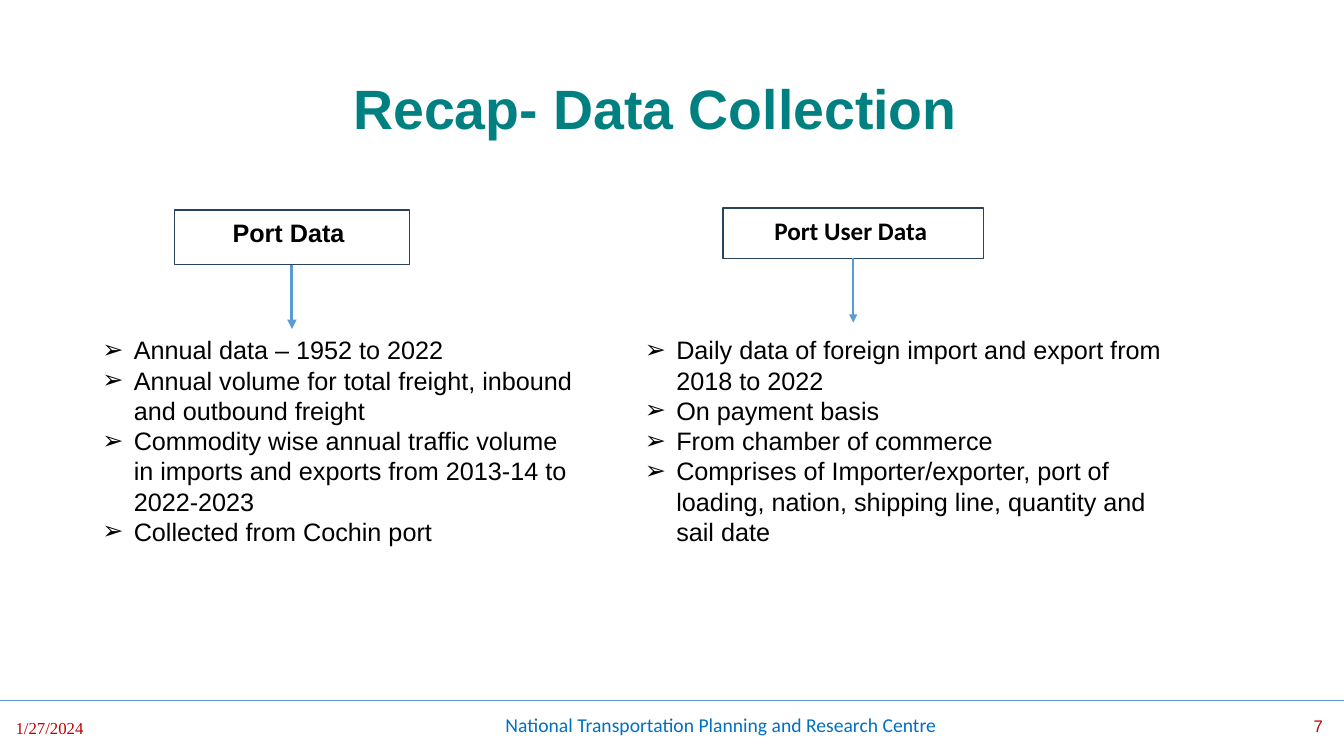
from lxml import etree
from pptx import Presentation
from pptx.dml.color import RGBColor
from pptx.enum.shapes import MSO_CONNECTOR, MSO_SHAPE
from pptx.enum.text import MSO_ANCHOR, PP_ALIGN
from pptx.oxml.ns import qn
from pptx.util import Pt

COLORS = {
    "title": "008080",
    "text": "000000",
    "footer": "0070C0",
    "date": "C00000",
    "box": "28445D",
    "line": "5B9BD5",
}
INDENT = 22.5

PORT_DATA = [
    "Annual data – 1952 to 2022",
    "Annual volume for total freight, inbound and outbound freight",
    "Commodity wise annual traffic volume in imports and exports from 2013-14 to 2022-2023",
    "Collected from Cochin port",
]
USER_DATA = [
    "Daily data of foreign import and export from 2018 to 2022",
    "On payment basis",
    "From chamber of commerce",
    "Comprises of Importer/exporter, port of loading, nation, shipping line, quantity and sail date",
]


def color(name):
    return RGBColor.from_string(COLORS[name])


def add_bullet(paragraph):
    properties = paragraph._p.get_or_add_pPr()
    properties.set("marL", str(Pt(INDENT)))
    properties.set("indent", str(-Pt(INDENT)))
    etree.SubElement(properties, qn("a:buFont"), typeface="Arial")
    etree.SubElement(properties, qn("a:buChar"), char="➢")


def add_text(slide, box, lines, size, color_name="text", font="Arial", bold=False,
             align=PP_ALIGN.LEFT, anchor=MSO_ANCHOR.TOP, spacing=1.0, bullets=False):
    frame = slide.shapes.add_textbox(*map(Pt, box)).text_frame
    frame.word_wrap = True
    frame.vertical_anchor = anchor
    frame.text = "\n".join(lines)
    for paragraph in frame.paragraphs:
        paragraph.alignment = align
        paragraph.line_spacing = spacing
        if bullets:
            add_bullet(paragraph)
        paragraph.font.name = font
        paragraph.font.size = Pt(size)
        paragraph.font.bold = bold
        paragraph.font.color.rgb = color(color_name)


def add_box(slide, box):
    shape = slide.shapes.add_shape(MSO_SHAPE.RECTANGLE, *map(Pt, box))
    shape.shadow.inherit = False
    shape.fill.background()
    shape.line.color.rgb = color("box")
    shape.line.width = Pt(1)


def add_line(slide, start, end, width, arrow=False):
    connector = slide.shapes.add_connector(
        MSO_CONNECTOR.STRAIGHT, *map(Pt, start + end))
    connector.line.color.rgb = color("line")
    connector.line.width = Pt(width)
    if arrow:
        etree.SubElement(connector.line._get_or_add_ln(), qn("a:tailEnd"), type="triangle")
    etree.SubElement(connector._element.spPr, qn("a:effectLst"))


def add_source(slide, box, label, label_box, label_font, arrow_width, items, items_box):
    """Draw a boxed heading, an arrow down from it and its bullet list."""
    left, top, width, height = box
    center, bottom = left + width / 2, top + height
    add_box(slide, box)
    add_text(slide, label_box, [label], 18, font=label_font, bold=True)
    add_line(slide, (center, bottom), (center, bottom + 46), arrow_width, arrow=True)
    add_text(slide, items_box, items, 18, bullets=True)


def main():
    presentation = Presentation()
    presentation.slide_width = Pt(960)
    presentation.slide_height = Pt(540)
    slide = presentation.slides.add_slide(presentation.slide_layouts[6])

    # Title
    add_text(slide, (66, 60, 804, 39), ["Recap- Data Collection"], 39.6, "title",
             bold=True, align=PP_ALIGN.CENTER, anchor=MSO_ANCHOR.MIDDLE, spacing=0.9)

    # Data sources
    add_source(slide, (124.5, 150, 168, 39), "Port Data", (159, 152, 120, 29), "Arial",
               2.25, PORT_DATA, (66, 235.5, 354, 204))
    add_source(slide, (516.5, 148.5, 186, 36), "Port User Data", (546, 150, 150, 29), "Calibri",
               1.5, USER_DATA, (453.5, 235.5, 386, 247))

    # Footer
    add_line(slide, (0, 500.5), (960, 500.5), 0.5)
    add_text(slide, (4, 509, 99, 29), ["1/27/2024"], 12, "date", "Times New Roman")
    add_text(slide, (354, 505.5, 426, 29),
             ["National Transportation Planning and Research Centre"], 14, "footer", "Calibri")
    add_text(slide, (736, 507.5, 216, 29), ["7"], 12, "date", align=PP_ALIGN.RIGHT)

    presentation.save("out.pptx")


if __name__ == "__main__":
    main()
